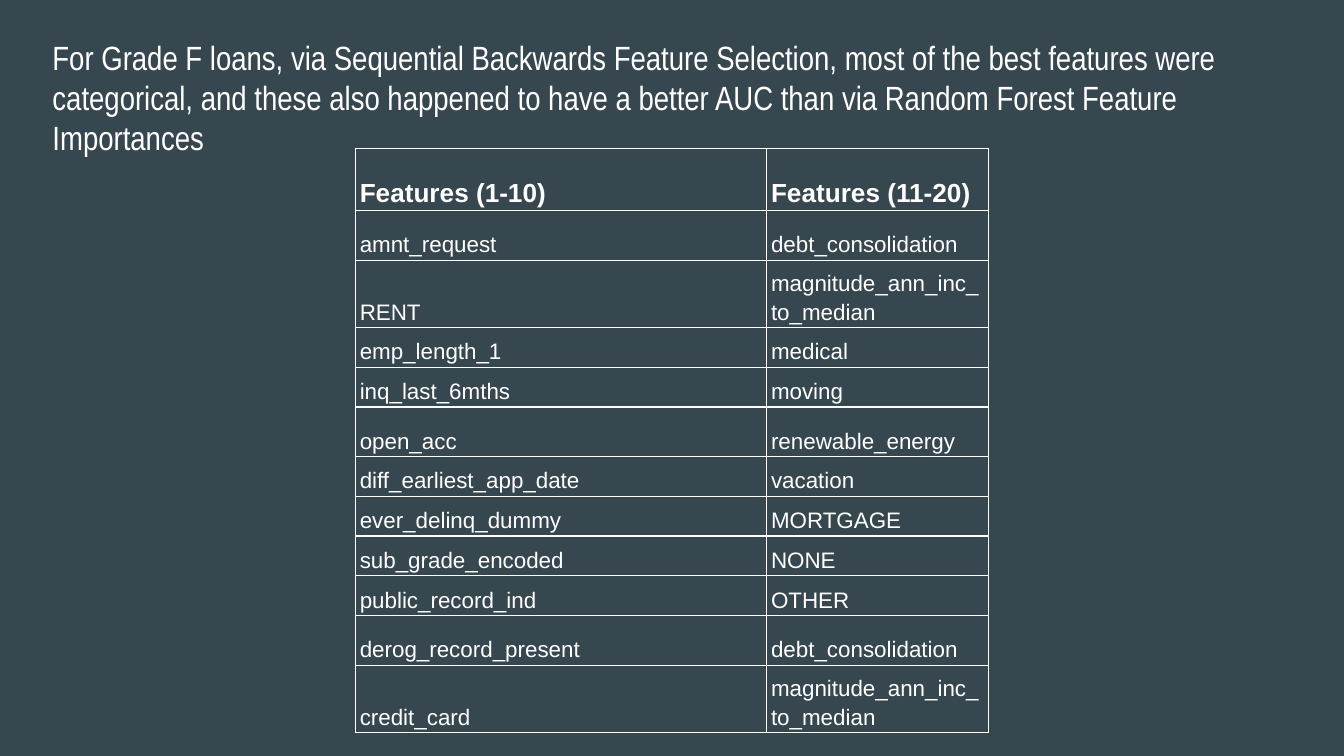
from dataclasses import dataclass
from lxml import etree
from pptx import Presentation
from pptx.dml.color import RGBColor
from pptx.enum import text
from pptx.oxml import ns
from pptx.util import Pt


@dataclass(frozen=True)
class Theme:
    """Colours, fonts and sizes of the deck."""
    back: str = "37474F"
    ink: str = "FFFFFF"
    title_font: str = "Arial Narrow"
    body_font: str = "Arial"
    title: float = 18
    head: float = 14
    body: float = 12
    rule: float = 0.75


THEME = Theme()
TITLE = ("For Grade F loans, via Sequential Backwards Feature Selection, "
         "most of the best features were categorical, and these also happened "
         "to have a better AUC than via Random Forest Feature Importances")
SHORT, MID, TALL = 21.3, 26.6, 33.3
ROWS = [
    (TALL, "Features (1-10)", "Features (11-20)"),
    (MID, "amnt_request", "debt_consolidation"),
    (TALL, "RENT", "magnitude_ann_inc_to_median"),
    (SHORT, "emp_length_1", "medical"),
    (SHORT, "inq_last_6mths", "moving"),
    (MID, "open_acc", "renewable_energy"),
    (SHORT, "diff_earliest_app_date", "vacation"),
    (SHORT, "ever_delinq_dummy", "MORTGAGE"),
    (SHORT, "sub_grade_encoded", "NONE"),
    (SHORT, "public_record_ind", "OTHER"),
    (MID, "derog_record_present", "debt_consolidation"),
    (TALL, "credit_card", "magnitude_ann_inc_to_median"),
]


def add_run(para, words, font, size, bold=False):
    """Add one styled run to a paragraph."""
    run = para.add_run()
    run.text = words
    run.font.name, run.font.size, run.font.bold = font, Pt(size), bold
    run.font.color.rgb = RGBColor.from_string(THEME.ink)


def add_title(slide, left, top, width, height):
    """Place the headline in its box."""
    frame = slide.shapes.add_textbox(
        Pt(left), Pt(top), Pt(width), Pt(height)).text_frame
    frame.word_wrap = True
    frame.vertical_anchor = text.MSO_ANCHOR.TOP
    frame.margin_left = frame.margin_right = Pt(7.2)
    frame.margin_top = frame.margin_bottom = Pt(7.2)
    add_run(frame.paragraphs[0], TITLE, THEME.title_font, THEME.title)


def rule_cell(cell):
    """Draw a thin line on all four sides of a cell."""
    props = cell._tc.get_or_add_tcPr()
    for side in ("lnL", "lnR", "lnT", "lnB"):
        line = etree.SubElement(props, ns.qn(f"a:{side}"), w=str(Pt(THEME.rule)))
        fill = etree.SubElement(line, ns.qn("a:solidFill"))
        etree.SubElement(fill, ns.qn("a:srgbClr"), val=THEME.ink)


def fill_cell(cell, words, head):
    """Style one table cell and write its text."""
    rule_cell(cell)
    cell.fill.background()
    cell.vertical_anchor = text.MSO_ANCHOR.BOTTOM
    cell.margin_left = cell.margin_right = Pt(2.25)
    cell.margin_top = cell.margin_bottom = Pt(1.5)
    para = cell.text_frame.paragraphs[0]
    para.line_spacing = 1.15
    add_run(para, words, THEME.body_font, THEME.head if head else THEME.body, head)


def add_features(slide, left, top, width, split):
    """Place the two-column feature table, split at a share of its width."""
    height = sum(row[0] for row in ROWS)
    table = slide.shapes.add_table(
        len(ROWS), 2, Pt(left), Pt(top), Pt(width), Pt(height)).table
    table.horz_banding = False
    for col, share in zip(table.columns, (split, 1 - split)):
        col.width = Pt(width * share)
    for i, (tall, *names) in enumerate(ROWS):
        table.rows[i].height = Pt(tall)
        for j, name in enumerate(names):
            fill_cell(table.cell(i, j), name, i == 0)


def main():
    """Build and save the deck."""
    deck = Presentation()
    deck.slide_width, deck.slide_height = Pt(720), Pt(405)
    slide = deck.slides.add_slide(deck.slide_layouts[6])
    slide.background.fill.solid()
    slide.background.fill.fore_color.rgb = RGBColor.from_string(THEME.back)
    add_title(slide, 21, 12.4, 671, 45.4)
    add_features(slide, 190.5, 79.5, 339, 0.65)
    deck.save("out.pptx")


if __name__ == "__main__":
    main()
